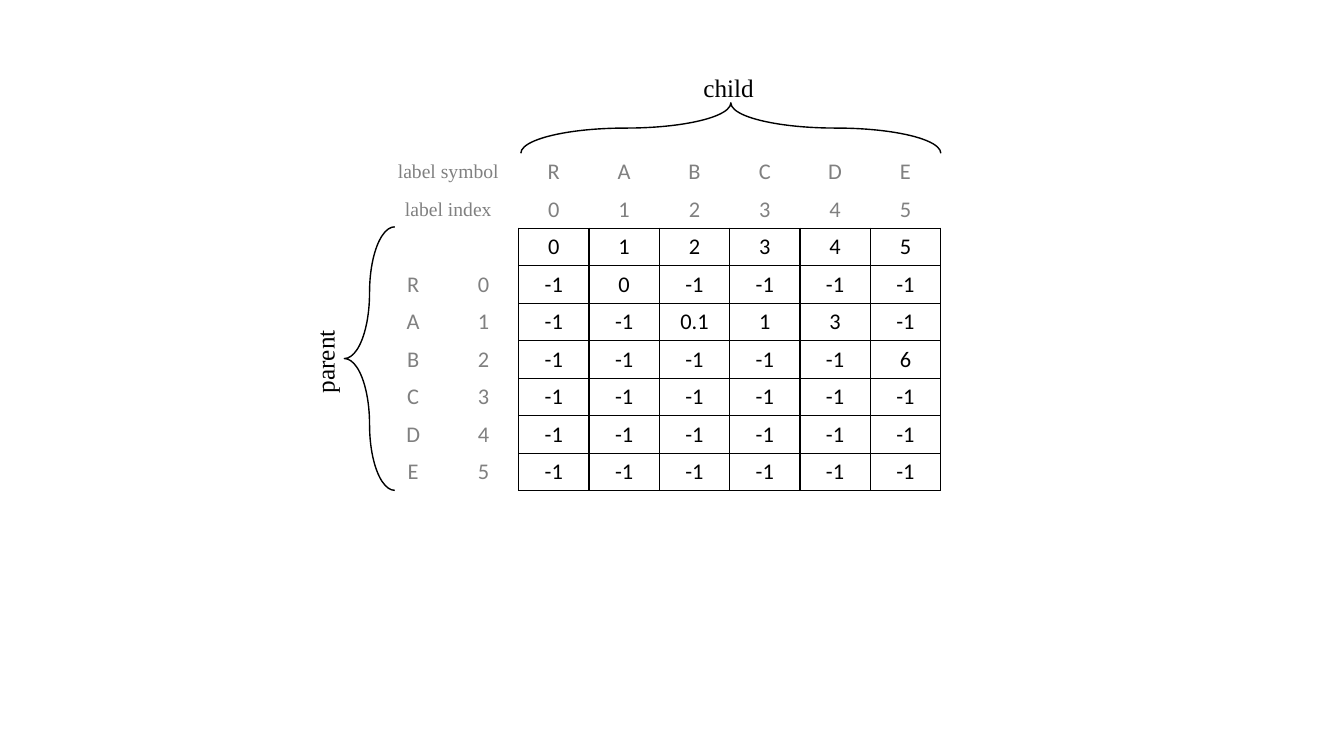
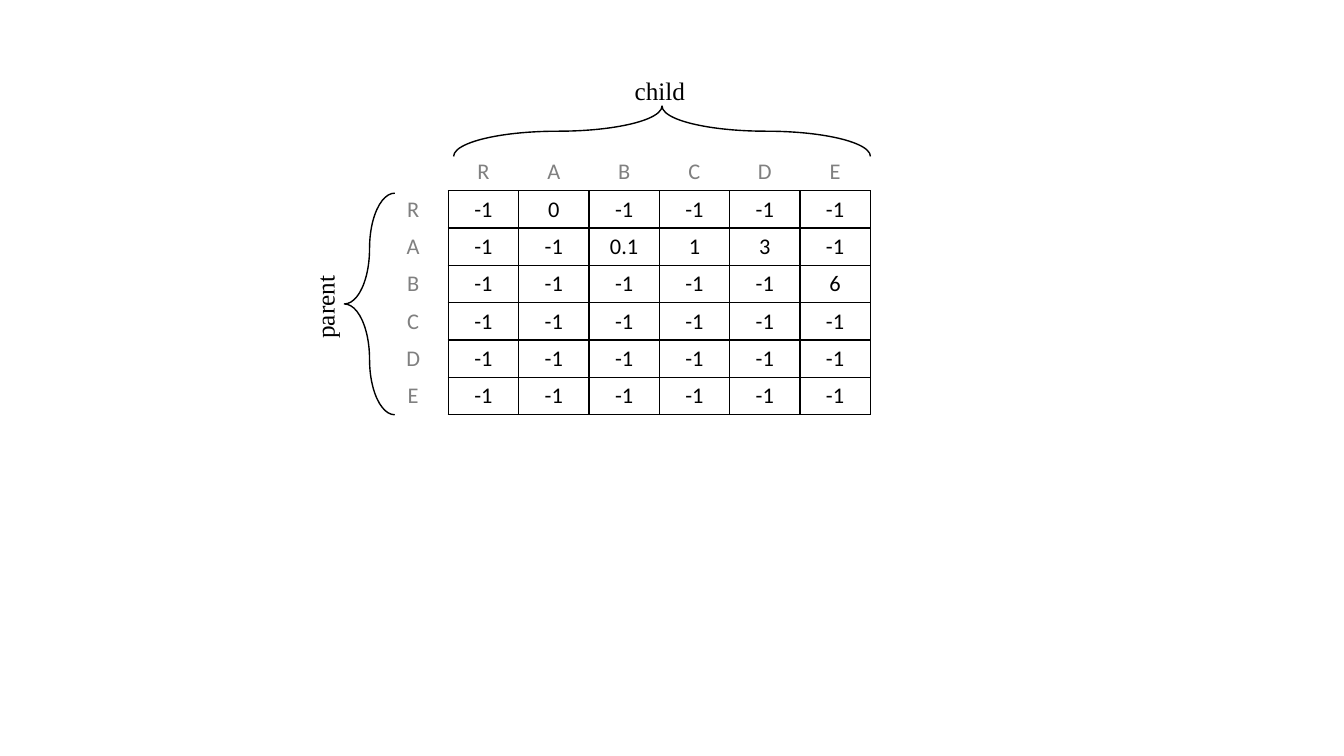
from lxml import etree
from pptx import Presentation
from pptx.dml.color import RGBColor
from pptx.enum.shapes import MSO_SHAPE
from pptx.enum.text import MSO_ANCHOR, MSO_AUTO_SIZE, PP_ALIGN
from pptx.oxml.ns import qn
from pptx.util import Emu, Pt

LEFT_BRACE = MSO_SHAPE.LEFT_BRACE
MIDDLE = MSO_ANCHOR.MIDDLE
FIT_SHAPE = MSO_AUTO_SIZE.SHAPE_TO_FIT_TEXT
CENTER = PP_ALIGN.CENTER
BLANK_LAYOUT = 6

BLACK = "000000"
GRAY = "808080"
SANS = "Calibri"
SERIF = "Times New Roman"

SYMBOLS = list("RABCDE")
INDEXES = [str(index) for index in range(len(SYMBOLS))]
LINKS = {("R", "A"): "0", ("A", "B"): "0.1", ("A", "C"): "1",
         ("A", "D"): "3", ("B", "E"): "6"}
MATRIX = [[LINKS.get((parent, child), "-1") for child in SYMBOLS] for parent in SYMBOLS]


def px(length):
    return Emu(round(length * 9525))


def color(value):
    return RGBColor.from_string(value)


def style_font(para, name, size, shade):
    para.font.name = name
    para.font.size = Pt(size)
    para.font.color.rgb = color(shade)


def set_borders(cell, drawn_sides):
    properties = cell._tc.get_or_add_tcPr()
    for side in "LRTB":
        line = etree.SubElement(properties, qn(f"a:ln{side}"), w=str(Pt(1)))
        if side in drawn_sides:
            fill = etree.SubElement(line, qn("a:solidFill"))
            etree.SubElement(fill, qn("a:srgbClr"), val=BLACK)
        else:
            etree.SubElement(line, qn("a:noFill"))


def sides_to_draw(row, column, heads):
    if row >= heads and column >= heads:
        return "LRTB"
    if row == heads - 1 and column >= heads:
        return "B"
    if column == heads - 1 and row >= heads:
        return "R"
    return ""


def add_matrix(slide, box, rows, heads):
    left, top, width, height = box
    row_count, column_count = len(rows), len(rows[0])
    table = slide.shapes.add_table(row_count, column_count, px(left), px(top),
                                   px(width), px(height)).table
    table.first_row = False
    table.horz_banding = False
    for column in table.columns:
        column.width = px(width / column_count)
    for row in table.rows:
        row.height = px(height / row_count)
    for row_index, texts in enumerate(rows):
        for column_index, text in enumerate(texts):
            cell = table.cell(row_index, column_index)
            cell.vertical_anchor = MIDDLE
            set_borders(cell, sides_to_draw(row_index, column_index, heads))
            cell.fill.background()
            cell.text = text
            para = cell.text_frame.paragraphs[0]
            para.alignment = CENTER
            in_corner = row_index < heads and column_index < heads
            in_grid = row_index >= heads and column_index >= heads
            style_font(para, SERIF if in_corner else SANS, 14 if in_corner else 16,
                       BLACK if in_grid else GRAY)
    if heads > 1:
        for row_index in range(heads):
            table.cell(row_index, 0).merge(table.cell(row_index, heads - 1))


def centered_box(center_x, center_y, width, height):
    return [px(center_x - width / 2), px(center_y - height / 2), px(width), px(height)]


def add_brace(slide, center_x, center_y, length, rotation):
    brace = slide.shapes.add_shape(LEFT_BRACE, *centered_box(center_x, center_y, 48, length))
    brace.rotation = rotation
    brace.shadow.inherit = False
    brace.adjustments[0] = 2.14
    brace.adjustments[1] = 0.5
    brace.fill.background()
    brace.line.color.rgb = color(BLACK)
    brace.line.width = Pt(1)


def add_axis_name(slide, text, center_x, center_y, width, rotation):
    label = slide.shapes.add_textbox(*centered_box(center_x, center_y, width, 38))
    label.rotation = rotation
    frame = label.text_frame
    frame.word_wrap = False
    frame.auto_size = FIT_SHAPE
    frame.text = text
    style_font(frame.paragraphs[0], SERIF, 18, BLACK)


def add_child_axis(slide, box):
    left, top, width, height = box
    center_x = left + width / 2
    add_brace(slide, center_x, top + height / 2, width, 90)
    add_axis_name(slide, "child", center_x, top - 15, 71, 0)


def add_parent_axis(slide, box):
    left, top, width, height = box
    center_y = top + height / 2
    add_brace(slide, left + width / 2, center_y, height, 0)
    add_axis_name(slide, "parent", left - 19, center_y, 85, 270)


def add_matrix_slide(deck, rows, heads, matrix_box, child_box, parent_box):
    slide = deck.slides.add_slide(deck.slide_layouts[BLANK_LAYOUT])
    add_matrix(slide, matrix_box, rows, heads)
    add_child_axis(slide, child_box)
    add_parent_axis(slide, parent_box)


def main():
    deck = Presentation()
    deck.slide_width = px(1280)
    deck.slide_height = px(720)

    indexed_rows = [["label symbol", "", *SYMBOLS],
                    ["label index", "", *INDEXES],
                    ["", "", *INDEXES]]
    indexed_rows += [[symbol, index, *values]
                     for symbol, index, values in zip(SYMBOLS, INDEXES, MATRIX)]
    add_matrix_slide(deck, indexed_rows, 2, (360, 146, 536, 320),
                     (496, 98, 400, 48), (328, 216, 48, 251))

    plain_rows = [["", *SYMBOLS]]
    plain_rows += [[symbol, *values] for symbol, values in zip(SYMBOLS, MATRIX)]
    add_matrix_slide(deck, plain_rows, 1, (360, 146, 469, 249),
                     (432, 101, 397, 48), (328, 184, 48, 211))

    deck.save("out.pptx")


if __name__ == "__main__":
    main()
